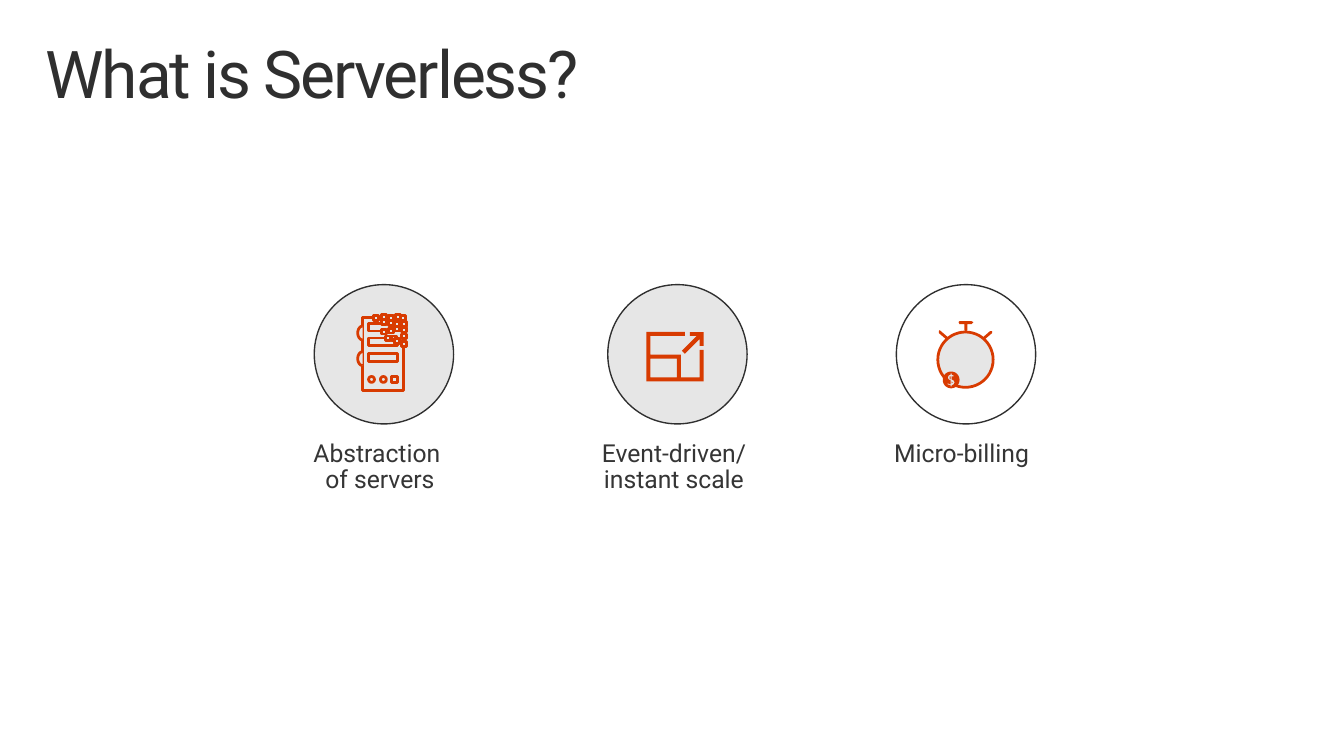
from math import cos, pi, sin

from pptx import Presentation
from pptx.dml.color import RGBColor
from pptx.enum import shapes as kinds, text as modes
from pptx.util import Inches, Pt

COLORS = {"ink": "2F2F2F", "label": "353535", "gray": "E6E6E6", "orange": "D83B01"}
FONT = "Roboto"
RECT, OVAL = kinds.MSO_SHAPE.RECTANGLE, kinds.MSO_SHAPE.OVAL

# label, left of circle, circle fill, label left and size
TOPICS = [
    ("Abstraction \vof servers", 3.18, "gray", 2.8, 2.16, 0.8),
    ("Event-driven/ instant scale", 6.15, "gray", 5.74, 2.23, 0.8),
    ("Micro-billing", 9.07, None, 8.74, 2.05, 0.53),
]
BITS = [
    (3.78, 3.19), (3.93, 3.19), (4, 3.18), (4.05, 3.19), (3.99, 3.25), (3.93, 3.24),
    (3.99, 3.3), (3.86, 3.18), (4.06, 3.25), (4.06, 3.31), (4.06, 3.38), (4.06, 3.46),
    (3.93, 3.32), (3.96, 3.4), (3.99, 3.43), (3.9, 3.4), (3.86, 3.23), (3.86, 3.33),
]
FRAME = [
    [(7.08, 3.82), (6.89, 3.82), (6.89, 3.59), (6.58, 3.59), (6.58, 3.4), (6.93, 3.4),
     (6.93, 3.36), (6.54, 3.36), (6.54, 3.86), (7.12, 3.86), (7.12, 3.54), (7.08, 3.54)],
    [(6.58, 3.63), (6.85, 3.63), (6.85, 3.82), (6.58, 3.82)],
]
ARROW = [
    [(6.98, 3.4), (7.05, 3.4), (6.9, 3.55), (6.93, 3.58), (7.08, 3.43), (7.08, 3.5),
     (7.12, 3.5), (7.12, 3.36), (6.98, 3.36)],
]
KNOBS = [
    [(10.03, 3.35), (10.04, 3.35), (10.04, 3.37), (9.97, 3.43), (9.95, 3.43),
     (9.95, 3.41), (10.02, 3.35)],
    [(9.51, 3.34), (9.52, 3.35), (9.59, 3.41), (9.59, 3.43), (9.57, 3.43),
     (9.5, 3.37), (9.5, 3.35)],
    [(9.71, 3.25), (9.83, 3.25), (9.85, 3.26), (9.83, 3.28), (9.79, 3.28), (9.79, 3.34),
     (9.77, 3.36), (9.76, 3.34), (9.76, 3.28), (9.71, 3.28), (9.7, 3.26)],
]
DOLLAR = [
    [(9.63, 3.86), (9.64, 3.87), (9.63, 3.88)],
    [(9.62, 3.81), (9.62, 3.84), (9.61, 3.83), (9.61, 3.81)],
    [(9.62, 3.78), (9.62, 3.79), (9.6, 3.8), (9.59, 3.82), (9.6, 3.84), (9.62, 3.85),
     (9.62, 3.89), (9.59, 3.88), (9.59, 3.89), (9.62, 3.9), (9.62, 3.91), (9.63, 3.91),
     (9.63, 3.9), (9.65, 3.89), (9.66, 3.87), (9.65, 3.85), (9.63, 3.84), (9.63, 3.81),
     (9.65, 3.81), (9.65, 3.8), (9.63, 3.79), (9.63, 3.78)],
]


def color(name):
    return RGBColor.from_string(COLORS[name])


def paint(shape, fill, line=None, width=2):
    shape.shadow.inherit = False
    if fill:
        shape.fill.solid()
        shape.fill.fore_color.rgb = color(fill)
    else:
        shape.fill.background()
    if line:
        shape.line.color.rgb = color(line)
        shape.line.width = Pt(width)
    else:
        shape.line.fill.background()


def add_form(shapes, kind, box, fill="gray", line="orange", width=2):
    shape = shapes.add_shape(kind, *map(Inches, box))
    paint(shape, fill, line, width)


def add_path(shapes, loops, fill="orange", line=None, close=True):
    """Draw one outline from several loops; inner loops cut holes."""
    loops = [[(Inches(x), Inches(y)) for x, y in loop] for loop in loops]
    pen = shapes.build_freeform(*loops[0][0], scale=1.0)
    for loop in loops:
        if loop is not loops[0]:
            pen.move_to(*loop[0])
        pen.add_line_segments(loop[1:], close=close)
    paint(pen.convert_to_shape(), fill, line)


def arc(x, y, wide, high, start, end, steps):
    """Points on an ellipse between two angles, in radians."""
    turns = [start + (end - start) * i / steps for i in range(steps + 1)]
    return [(x + wide * cos(t), y + high * sin(t)) for t in turns]


def style(frame, size, ink, insets):
    frame.word_wrap = True
    frame.vertical_anchor = modes.MSO_ANCHOR.TOP
    (frame.margin_left, frame.margin_top,
     frame.margin_right, frame.margin_bottom) = map(Inches, insets)
    par = frame.paragraphs[0]
    par.line_spacing = 0.9
    par.space_before = Pt(0)
    for run in par.runs:
        run.font.name = FONT
        run.font.size = Pt(size)
        run.font.color.rgb = color(ink)
    return par


def add_title(slide, words):
    title = slide.shapes.title
    title.left, title.top, title.width, title.height = map(Inches, (0.3, 0.32, 13, 1))
    frame = title.text_frame
    frame.text = words
    frame.auto_size = modes.MSO_AUTO_SIZE.NONE
    par = style(frame, 48, "ink", (0.16, 0.1, 0.16, 0.1))
    par.alignment = modes.PP_ALIGN.LEFT
    par.runs[0].font._element.set("spc", "-150")


def add_label(shapes, words, left, width, height):
    frame = shapes.add_textbox(*map(Inches, (left, 4.34, width, height))).text_frame
    frame.text = words
    par = style(frame, 18, "label", (0.08, 0.12, 0.15, 0.12))
    frame.auto_size = modes.MSO_AUTO_SIZE.SHAPE_TO_FIT_TEXT
    par.alignment = modes.PP_ALIGN.CENTER
    par.space_after = Pt(4.5)


def add_server(shapes):
    rack = shapes.add_group_shape().shapes
    add_form(rack, RECT, (3.67, 3.21, 0.41, 0.74))
    for top in (3.27, 3.42, 3.58):
        add_form(rack, RECT, (3.73, top, 0.29, 0.08))
    for mid in (3.37, 3.63):
        add_path(rack, [arc(3.67, mid, 0.05, 0.07, pi / 2, 3 * pi / 2, 16)],
                 "gray", "orange", close=False)
    for kind, left in ((OVAL, 3.73), (OVAL, 3.85), (RECT, 3.96)):
        add_form(rack, kind, (left, 3.81, 0.06, 0.06))
    for left, top in BITS:
        add_form(shapes, RECT, (left, top, 0.05, 0.05), width=2.13)


def add_scale(shapes):
    icon = shapes.add_group_shape().shapes
    add_path(icon, FRAME)
    add_path(icon, ARROW)


def add_timer(shapes):
    add_path(shapes, KNOBS)
    add_form(shapes, OVAL, (9.49, 3.36, 0.56, 0.56))
    coin = shapes.add_group_shape().shapes
    add_form(coin, OVAL, (9.58, 3.78, 0.13, 0.13), line=None)
    add_path(coin, DOLLAR + [arc(9.625, 3.845, 0.085, 0.085, 0, 2 * pi, 36)])


def main():
    deck = Presentation()
    deck.slide_width, deck.slide_height = Inches(13.6), Inches(7.65)
    slide = deck.slides.add_slide(deck.slide_layouts[5])
    shapes = slide.shapes
    add_title(slide, "What is Serverless?")
    for words, left, fill, *box in TOPICS:
        add_form(shapes, OVAL, (left, 2.88, 1.41, 1.41), fill, "ink", 1)
        add_label(shapes, words, *box)
    add_server(shapes)
    add_scale(shapes)
    add_timer(shapes)
    deck.save("out.pptx")


if __name__ == "__main__":
    main()
